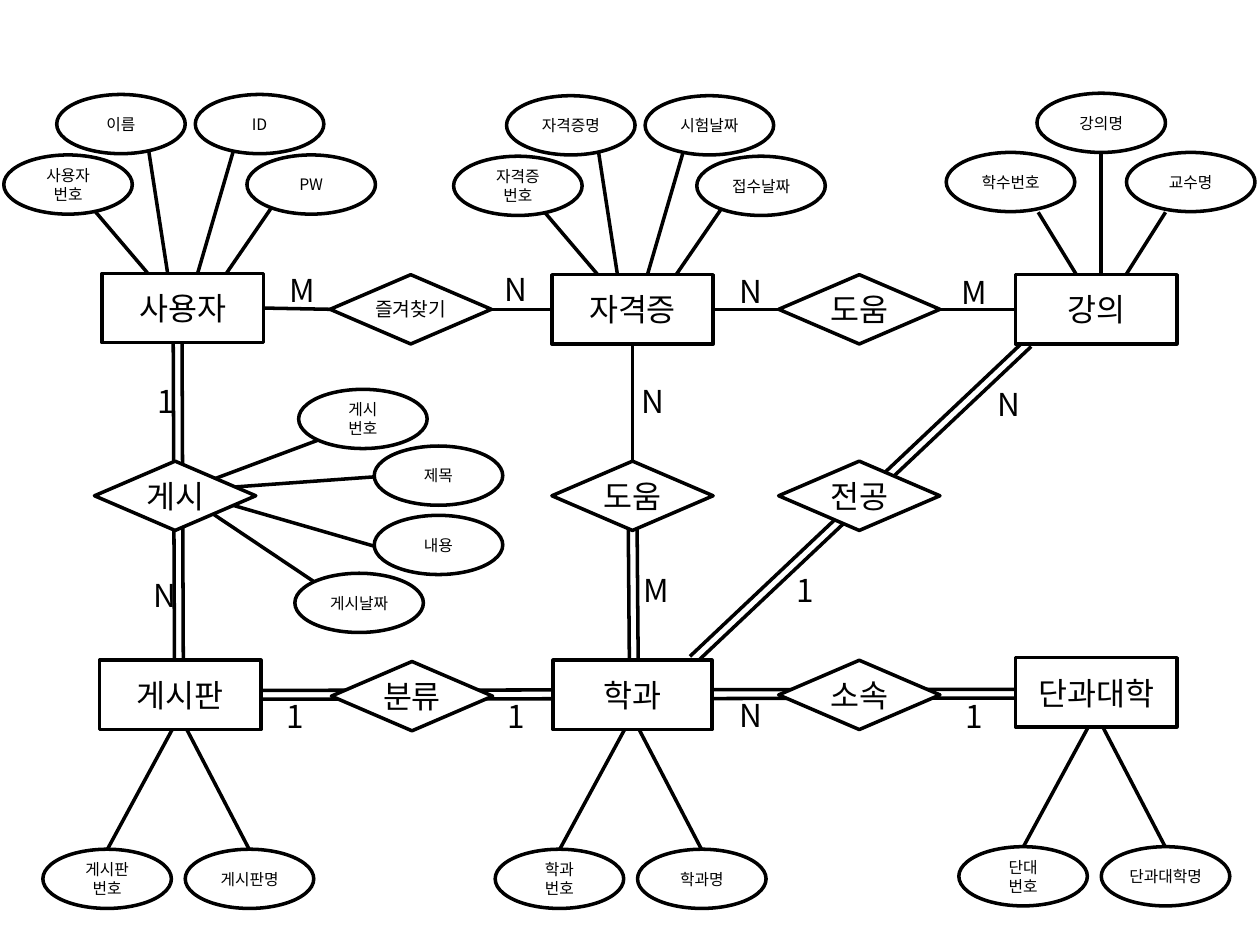
from math import hypot
from typing import NamedTuple

from lxml.etree import SubElement
from pptx import Presentation
from pptx.dml.color import RGBColor
from pptx.enum.shapes import MSO_CONNECTOR, MSO_SHAPE as Preset
from pptx.enum.text import MSO_ANCHOR, PP_ALIGN
from pptx.oxml.ns import qn
from pptx.util import Inches, Pt

COLORS = {"ink": "000000", "paper": "FFFFFF"}
FONT = "Noto Sans CJK KR"
COLUMN_X = (1.43, 3.26, 5.02, 6.82, 8.70)
ROW_Y = (2.455, 3.935, 5.515)
NODE_SIZE = (1.28, 0.55)
ATTRIBUTE_SIZE = (1.02, 0.47)
WIDE_MARK, TALL_MARK = (0.94, 0.31), (0.24, 0.87)
DOUBLE_GAP = 0.07
TOP, LEFT, BOTTOM, RIGHT = range(4)

Point = tuple[float, float]


class Node(NamedTuple):
    name: str
    preset: Preset
    column: int
    row: int
    nudge: Point = (0, 0)
    size: float = 18
    width: float = NODE_SIZE[0]

    @property
    def center(self) -> Point:
        return shift((COLUMN_X[self.column], ROW_Y[self.row]), self.nudge)


class Slot(NamedTuple):
    """Place of an attribute and its line, measured from the owner's centre."""
    center: Point
    tail: Point
    head: Point


class Double(NamedTuple):
    start: str
    start_offset: Point
    end: str
    end_offset: Point


class Mark(NamedTuple):
    text: str
    relation: str
    offset: Point
    size: Point = WIDE_MARK


NODES = {
    "user": Node("사용자", Preset.RECTANGLE, 0, 0, (0.02, -0.01)),
    "favorite": Node("즐겨찾기", Preset.DIAMOND, 1, 0, size=11),
    "license": Node("자격증", Preset.RECTANGLE, 2, 0),
    "lecture_help": Node("도움", Preset.DIAMOND, 3, 0),
    "lecture": Node("강의", Preset.RECTANGLE, 4, 0),
    "posting": Node("게시", Preset.DIAMOND, 0, 1, (-0.04, 0)),
    "major_help": Node("도움", Preset.DIAMOND, 2, 1),
    "major": Node("전공", Preset.DIAMOND, 3, 1),
    "board": Node("게시판", Preset.RECTANGLE, 0, 2),
    "category": Node("분류", Preset.DIAMOND, 1, 2, (0.01, 0.01)),
    "department": Node("학과", Preset.RECTANGLE, 2, 2, width=1.26),
    "membership": Node("소속", Preset.DIAMOND, 3, 2),
    "college": Node("단과대학", Preset.RECTANGLE, 4, 2, (0, -0.02)),
}

FOUR_ABOVE = (
    Slot((-0.91, -0.98), (-0.74, -0.82), (-0.28, -0.28)),
    Slot((-0.49, -1.46), (-0.27, -1.25), (-0.12, -0.28)),
    Slot((0.61, -1.46), (0.40, -1.24), (0.12, -0.28)),
    Slot((1.02, -0.98), (0.70, -0.79), (0.35, -0.28)),
)
THREE_ABOVE = (
    Slot((-0.68, -1.01), (-0.46, -0.77), (-0.16, -0.28)),
    Slot((0.04, -1.48), (0.04, -1.25), (0.04, -0.28)),
    Slot((0.75, -1.01), (0.55, -0.77), (0.24, -0.28)),
)
FOUR_RIGHT = (
    Slot((1.49, -0.61), (1.13, -0.44), (0.30, -0.13)),
    Slot((2.09, -0.16), (1.58, -0.15), (0.47, -0.07)),
    Slot((2.09, 0.39), (1.58, 0.40), (0.44, 0.07)),
    Slot((1.46, 0.85), (1.10, 0.68), (0.28, 0.13)),
)
TWO_BELOW = (
    Slot((-0.58, 1.46), (-0.58, 1.23), (-0.06, 0.27)),
    Slot((0.55, 1.46), (0.55, 1.23), (0.05, 0.27)),
)

ATTRIBUTES = (
    ("user", FOUR_ABOVE, ("사용자\n번호", "이름", "ID", "PW")),
    ("license", FOUR_ABOVE, ("자격증\n번호", "자격증명", "시험날짜", "접수날짜")),
    ("lecture", THREE_ABOVE, ("학수번호", "강의명", "교수명")),
    ("posting", FOUR_RIGHT, ("게시\n번호", "제목", "내용", "게시날짜")),
    ("board", TWO_BELOW, ("게시판\n번호", "게시판명")),
    ("department", TWO_BELOW, ("학과\n번호", "학과명")),
    ("college", TWO_BELOW, ("단대\n번호", "단과대학명")),
)

DOUBLES = (
    Double("user", (-0.04, 0.28), "board", (-0.01, -0.27)),
    Double("major_help", (0, 0.05), "department", (0.01, -0.27)),
    Double("board", (0, 0), "college", (0, 0.01)),
    Double("department", (0.48, -0.28), "lecture", (-0.54, 0.27)),
)

SINGLES = (
    ("user", RIGHT, "favorite", LEFT),
    ("favorite", RIGHT, "license", LEFT),
    ("license", RIGHT, "lecture_help", LEFT),
    ("lecture_help", RIGHT, "lecture", LEFT),
    ("license", BOTTOM, "major_help", TOP),
)

MARKS = (
    Mark("M", "favorite", (-0.94, -0.15), TALL_MARK),
    Mark("N", "favorite", (0.77, -0.16), TALL_MARK),
    Mark("N", "lecture_help", (-0.86, -0.15)),
    Mark("M", "lecture_help", (0.91, -0.14)),
    Mark("1", "posting", (-0.12, -0.75), TALL_MARK),
    Mark("N", "posting", (-0.15, 0.79), TALL_MARK),
    Mark("N", "major_help", (0.16, -0.75)),
    Mark("M", "major_help", (0.19, 0.75)),
    Mark("N", "major", (1.12, -0.73), TALL_MARK),
    Mark("1", "major", (-0.48, 0.75), TALL_MARK),
    Mark("1", "category", (-0.93, 0.16)),
    Mark("1", "category", (0.83, 0.16)),
    Mark("N", "membership", (-0.86, 0.16)),
    Mark("1", "membership", (0.91, 0.17)),
)


def shift(point: Point, offset: Point) -> Point:
    return point[0] + offset[0], point[1] + offset[1]


def box(center: Point, size: Point) -> list[int]:
    """Left, top, width and height around a centre."""
    corner = shift(center, (-size[0] / 2, -size[1] / 2))
    return [Inches(length) for length in (*corner, *size)]


def write(frame, text: str, size: float) -> None:
    frame.text = text
    frame.word_wrap = True
    frame.vertical_anchor = MSO_ANCHOR.MIDDLE
    for paragraph in frame.paragraphs:
        paragraph.alignment = PP_ALIGN.CENTER
        font = paragraph.font
        font.size, font.name = Pt(size), FONT
        font.color.rgb = RGBColor.from_string(COLORS["ink"])
        defaults = paragraph._p.pPr.find(qn("a:defRPr"))
        SubElement(defaults, qn("a:ea"), typeface=FONT)


def draw_shape(slide, preset: Preset, center: Point, extent: Point,
               text: str, size: float):
    shape = slide.shapes.add_shape(preset, *box(center, extent))
    shape.shadow.inherit = False
    shape.fill.solid()
    shape.fill.fore_color.rgb = RGBColor.from_string(COLORS["paper"])
    shape.line.color.rgb = RGBColor.from_string(COLORS["ink"])
    shape.line.width = Pt(2)
    frame = shape.text_frame
    frame.margin_left = frame.margin_right = Inches(0 if size == 11 else 0.04)
    write(frame, text, size)
    return shape


def draw_line(slide, start: Point, end: Point):
    ends = [Inches(length) for length in (*start, *end)]
    line = slide.shapes.add_connector(MSO_CONNECTOR.STRAIGHT, *ends)
    line.line.color.rgb = RGBColor.from_string(COLORS["ink"])
    line.line.width = Pt(2)
    SubElement(line._element.spPr, qn("a:effectLst"))
    return line


def draw_double(slide, double: Double) -> None:
    start = shift(NODES[double.start].center, double.start_offset)
    end = shift(NODES[double.end].center, double.end_offset)
    dx, dy = end[0] - start[0], end[1] - start[1]
    for side in (-0.5, 0.5):
        scale = side * DOUBLE_GAP / hypot(dx, dy)
        normal = (-dy * scale, dx * scale)
        draw_line(slide, shift(start, normal), shift(end, normal))


def main() -> None:
    deck = Presentation()
    deck.slide_width, deck.slide_height = Inches(10), Inches(7.5)
    slide = deck.slides.add_slide(deck.slide_layouts[6])

    for double in DOUBLES:
        draw_double(slide, double)
    for owner, slots, names in ATTRIBUTES:
        center = NODES[owner].center
        for slot, name in zip(slots, names):
            draw_line(slide, shift(center, slot.tail), shift(center, slot.head))
            draw_shape(slide, Preset.OVAL, shift(center, slot.center),
                       ATTRIBUTE_SIZE, name, 9)
    shapes = {key: draw_shape(slide, node.preset, node.center,
                              (node.width, NODE_SIZE[1]), node.name, node.size)
              for key, node in NODES.items()}
    for start, start_side, end, end_side in SINGLES:
        line = draw_line(slide, NODES[start].center, NODES[end].center)
        line.begin_connect(shapes[start], start_side)
        line.end_connect(shapes[end], end_side)
    for mark in MARKS:
        center = shift(NODES[mark.relation].center, mark.offset)
        label = slide.shapes.add_textbox(*box(center, mark.size))
        write(label.text_frame, mark.text, 18)

    deck.save("out.pptx")


if __name__ == "__main__":
    main()
